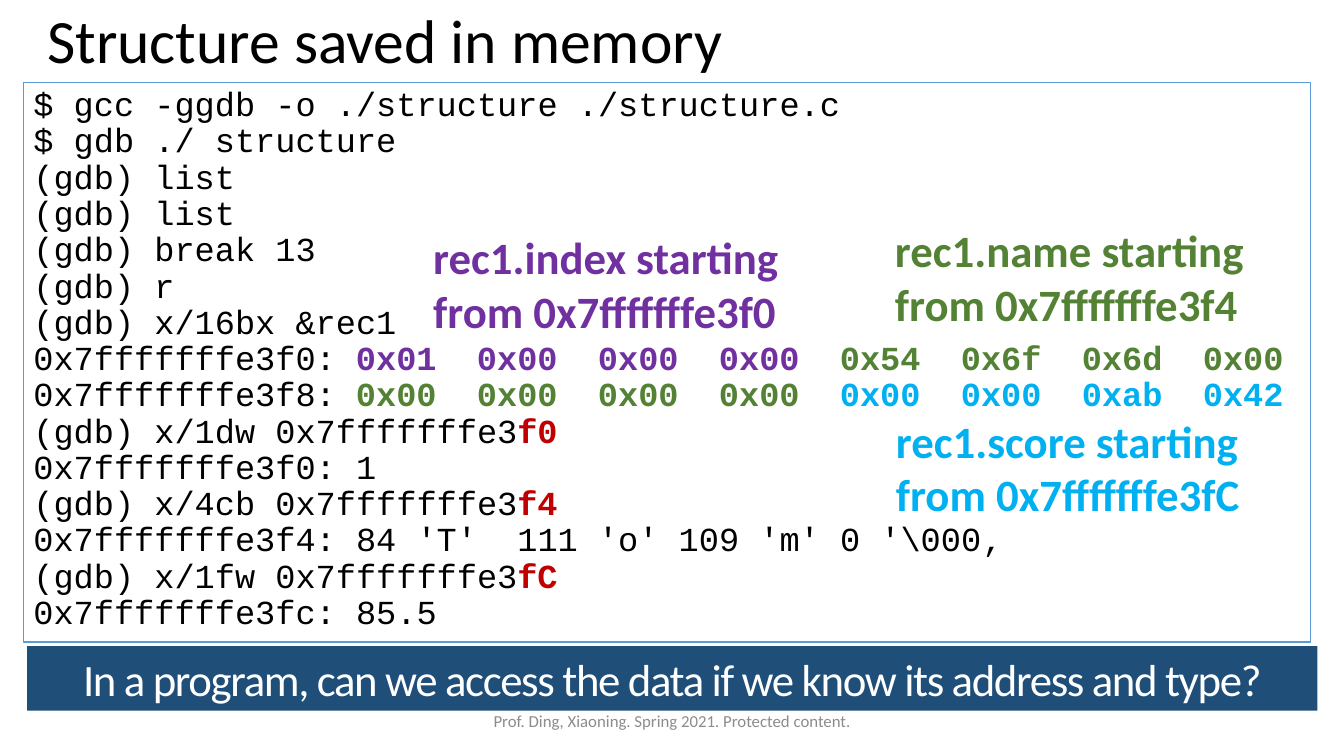
from lxml import etree
from pptx import Presentation
from pptx.dml.color import RGBColor
from pptx.enum.shapes import MSO_SHAPE
from pptx.enum.text import MSO_ANCHOR, MSO_AUTO_SIZE, PP_ALIGN
from pptx.oxml.ns import qn
from pptx.util import Pt

RECTANGLE = MSO_SHAPE.RECTANGLE
TOP, MIDDLE = MSO_ANCHOR.TOP, MSO_ANCHOR.MIDDLE
LEFT, CENTER = PP_ALIGN.LEFT, PP_ALIGN.CENTER
NO_AUTOFIT = MSO_AUTO_SIZE.NONE

# Content
TITLE = "Structure saved in memory"
QUESTION = "In a program, can we access the data if we know its address and type?"
FOOTER = "Prof. Ding, Xiaoning. Spring 2021. Protected content."

# Each session line is a list of (text, color name); None is plain text
SESSION = [
    [("$ gcc -ggdb -o ./structure ./structure.c", None)],
    [("$ gdb ./ structure", None)],
    [("(gdb) list", None)],
    [("(gdb) list", None)],
    [("(gdb) break 13", None)],
    [("(gdb) r", None)],
    [("(gdb) x/16bx &rec1", None)],
    [("0x7fffffffe3f0: ", None), ("0x01  0x00  0x00  0x00  ", "index"),
     ("0x54  0x6f  0x6d  0x00", "name")],
    [("0x7fffffffe3f8: ", None), ("0x00  0x00  0x00  0x00  ", "name"),
     ("0x00  0x00  0xab  0x42", "score")],
    [("(gdb) x/1dw 0x7fffffffe3", None), ("f0", "address")],
    [("0x7fffffffe3f0: 1", None)],
    [("(gdb) x/4cb 0x7fffffffe3", None), ("f4", "address")],
    [("0x7fffffffe3f4: 84 'T'  111 'o' 109 'm' 0 '\\000‚", None)],
    [("(gdb) x/1fw 0x7fffffffe3", None), ("fC", "address")],
    [("0x7fffffffe3fc: 85.5", None)],
]

# Field labels: text, color name, box (left, top, width, height)
FIELD_LABELS = [
    (["rec1.index starting from 0x7fffffffe3f0"], "index", (302.4, 160.6, 306.7, 85)),
    (["rec1.name starting", "from 0x7fffffffe3f4"], "name", (632.2, 155.5, 276.5, 85)),
    (["rec1.score starting from 0x7fffffffe3fC"], "score", (632.9, 291.6, 276.5, 85)),
]

# Boxes in points
SLIDE_SIZE = (960, 540)
TITLE_BOX = (26.6, 3.6, 892, 55.4)
SESSION_BOX = (16.6, 59, 919.4, 399.6)
QUESTION_BOX = (19.4, 461.5, 921.6, 46.1)
FOOTER_BOX = (318.2, 500.4, 324, 28.8)


class Theme:
    text_font, code_font = "Calibri", "Courier New"
    title_size, code_size, label_size, footer_size = 44, 24, 32, 12
    line_spacing = 0.9
    border_width = 0.75
    tracking = "-100"
    colors = {name: RGBColor.from_string(value) for name, value in {
        "text": "000000", "index": "7030A0", "name": "548235", "score": "00B0F0",
        "address": "C00000", "border": "5B9BD5", "banner": "1F4E79",
        "banner_text": "FFFFFF", "footer": "8C8C8C"}.items()}


def place(shape, box):
    shape.left, shape.top, shape.width, shape.height = map(Pt, box)


def set_frame(shape, anchor):
    frame = shape.text_frame
    frame.word_wrap = True
    frame.auto_size = NO_AUTOFIT
    frame.vertical_anchor = anchor
    return frame


def paragraphs_for(frame, count):
    return [frame.paragraphs[0]] + [frame.add_paragraph() for _ in range(count - 1)]


def set_font(paragraph, size, color, name=Theme.text_font, bold=False):
    font = paragraph.font
    font.name, font.size, font.bold = name, Pt(size), bold
    font.color.rgb = Theme.colors[color]


def write(shape, lines, size, color, anchor=MIDDLE, align=LEFT, bold=False):
    frame = set_frame(shape, anchor)
    for paragraph, line in zip(paragraphs_for(frame, len(lines)), lines):
        paragraph.text = line
        paragraph.alignment = align
        set_font(paragraph, size, color, bold=bold)
    return frame


def write_session(shape):
    frame = set_frame(shape, TOP)
    for paragraph, parts in zip(paragraphs_for(frame, len(SESSION)), SESSION):
        paragraph.line_spacing = Theme.line_spacing
        paragraph.space_before = Pt(0)
        properties = paragraph._p.get_or_add_pPr()
        properties.set("marL", "0")
        properties.set("indent", "0")
        etree.SubElement(properties, qn("a:buNone"))
        set_font(paragraph, Theme.code_size, "text", Theme.code_font)
        for text, color in parts:
            run = paragraph.add_run()
            run.text = text
            if color:
                run.font.bold = True
                run.font.color.rgb = Theme.colors[color]


def main():
    presentation = Presentation()
    presentation.slide_width, presentation.slide_height = map(Pt, SLIDE_SIZE)
    slide = presentation.slides.add_slide(presentation.slide_layouts[1])
    shapes = slide.shapes

    # Title
    title = shapes.title
    place(title, TITLE_BOX)
    frame = write(title, [TITLE], Theme.title_size, "text")
    frame.paragraphs[0].line_spacing = Theme.line_spacing

    # Debugger session
    session = slide.placeholders[1]
    place(session, SESSION_BOX)
    session.line.color.rgb = Theme.colors["border"]
    session.line.width = Pt(Theme.border_width)
    write_session(session)

    # Field labels
    for lines, color, box in FIELD_LABELS:
        label = shapes.add_textbox(*map(Pt, box))
        write(label, lines, Theme.label_size, color, anchor=TOP, bold=True)

    # Footer
    footer = shapes.add_textbox(*map(Pt, FOOTER_BOX))
    write(footer, [FOOTER], Theme.footer_size, "footer", align=CENTER)

    # Question banner
    banner = shapes.add_shape(RECTANGLE, *map(Pt, QUESTION_BOX))
    banner.shadow.inherit = False
    banner.fill.solid()
    banner.fill.fore_color.rgb = Theme.colors["banner"]
    banner.line.fill.background()
    frame = write(banner, [QUESTION], Theme.label_size, "banner_text", align=CENTER)
    question = frame.paragraphs[0].runs[0]
    question._r.get_or_add_rPr().set("spc", Theme.tracking)

    presentation.save("out.pptx")


if __name__ == "__main__":
    main()
